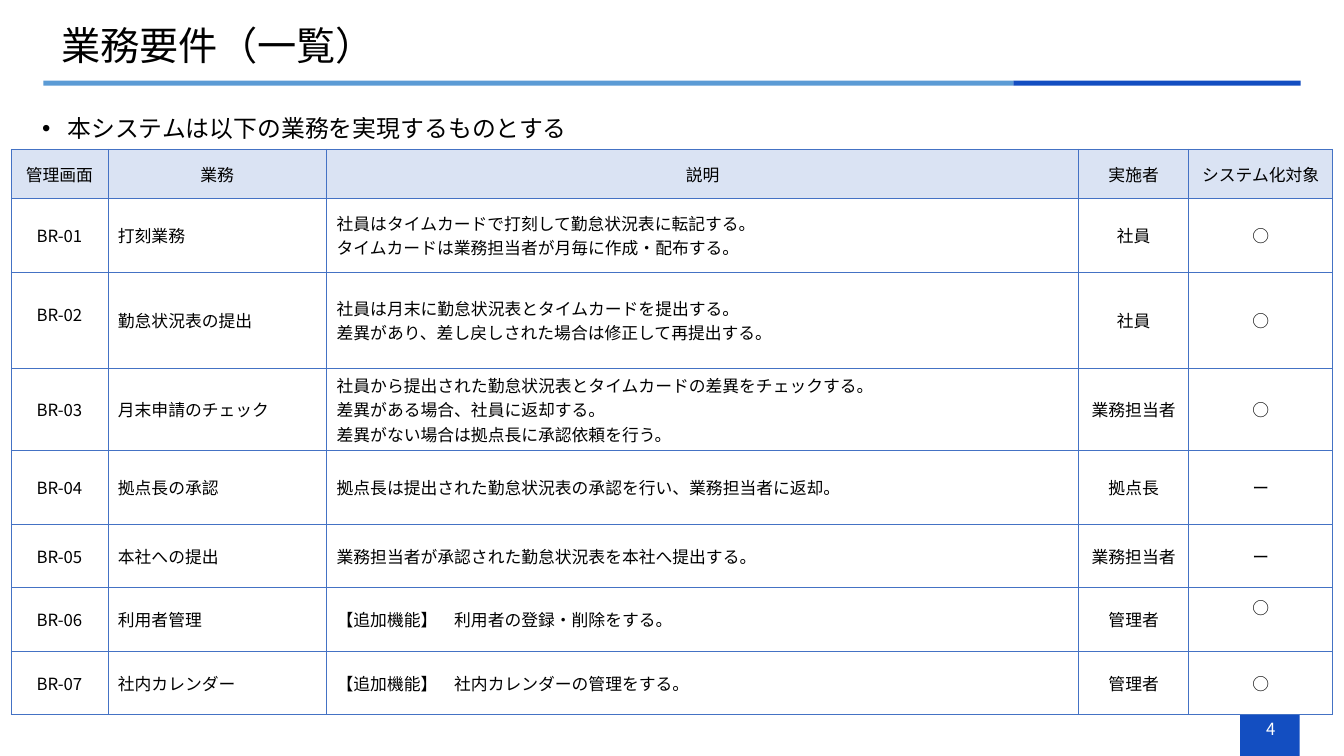
from lxml.etree import SubElement
from pptx import Presentation
from pptx.dml.color import RGBColor
from pptx.enum.shapes import MSO_SHAPE as Shape
from pptx.enum.text import MSO_ANCHOR as Anchor, MSO_AUTO_SIZE as Fit, PP_ALIGN as Align
from pptx.oxml.ns import qn
from pptx.util import Pt

PX = 9144
BLUE, SKY, EDGE, HEAD = "134EC1", "5B9BD5", "4472C4", "DAE3F3"
BLACK, WHITE = "000000", "FFFFFF"

COLS = [96, 217, 746, 109, 143]
TALL = [49, 73, 95, 82, 73, 63, 63, 63]
ROWS = [
    ("管理画面", "業務", "説明", "実施者", "システム化対象"),
    ("BR-01", "打刻業務",
     "社員はタイムカードで打刻して勤怠状況表に転記する。\n"
     "タイムカードは業務担当者が月毎に作成・配布する。", "社員", "○"),
    ("BR-02", "勤怠状況表の提出",
     "社員は月末に勤怠状況表とタイムカードを提出する。\n"
     "差異があり、差し戻しされた場合は修正して再提出する。", "社員", "○"),
    ("BR-03", "月末申請のチェック",
     "社員から提出された勤怠状況表とタイムカードの差異をチェックする。\n"
     "差異がある場合、社員に返却する。\n"
     "差異がない場合は拠点長に承認依頼を行う。", "業務担当者", "○"),
    ("BR-04", "拠点長の承認",
     "拠点長は提出された勤怠状況表の承認を行い、業務担当者に返却。", "拠点長", "ー"),
    ("BR-05", "本社への提出",
     "業務担当者が承認された勤怠状況表を本社へ提出する。", "業務担当者", "ー"),
    ("BR-06", "利用者管理", "【追加機能】　利用者の登録・削除をする。", "管理者", "○"),
    ("BR-07", "社内カレンダー", "【追加機能】　社内カレンダーの管理をする。", "管理者", "○"),
]
LIFT = {(2, 0): 17, (6, 4): 29}


def color(code):
    """Turn a hex string into a colour."""
    return RGBColor.from_string(code)


class Deck:
    """Holds the style and the current slide."""

    def __init__(self, font, wide, high):
        """Start a deck with one title-only slide."""
        self.font = font
        self.show = Presentation()
        self.show.slide_width, self.show.slide_height = wide * PX, high * PX
        self.slide = self.show.slides.add_slide(self.show.slide_layouts[5])

    def words(self, frame, text, size, ink=BLACK, align=Align.LEFT, space=1.0):
        """Fill a text frame and format its runs."""
        frame.text = text
        frame.word_wrap = True
        for para in frame.paragraphs:
            para.alignment = align
            para.line_spacing = space
            for run in para.runs:
                run.font.size = Pt(size)
                run.font.name = self.font
                run.font.color.rgb = color(ink)
                SubElement(run._r.get_or_add_rPr(), qn("a:ea"), typeface=self.font)

    def title(self, text, x, y, w, h):
        """Place the slide title."""
        box = self.slide.shapes.title
        box.left, box.top, box.width, box.height = [n * PX for n in (x, y, w, h)]
        self.words(box.text_frame, text, 28, space=0.9)
        box.text_frame.auto_size = Fit.NONE
        box.text_frame.vertical_anchor = Anchor.MIDDLE

    def bar(self, x, y, w, h, fill):
        """Draw a plain filled rectangle."""
        box = self.slide.shapes.add_shape(Shape.RECTANGLE, x * PX, y * PX, w * PX, h * PX)
        box.shadow.inherit = False
        box.fill.solid()
        box.fill.fore_color.rgb = color(fill)
        box.line.fill.background()

    def label(self, text, x, y, w, h, size, **style):
        """Add a text box and return its frame."""
        frame = self.slide.shapes.add_textbox(x * PX, y * PX, w * PX, h * PX).text_frame
        self.words(frame, text, size, **style)
        return frame

    def bullet(self, text, x, y, w, h, size):
        """Add a text box with one bulleted line."""
        frame = self.label(text, x, y, w, h, size)
        props = frame.paragraphs[0]._p.get_or_add_pPr()
        props.set("marL", str(25 * PX))
        props.set("indent", str(-25 * PX))
        SubElement(props, qn("a:buFont"), typeface="Arial")
        SubElement(props, qn("a:buChar"), char="•")

    def border(self, cell):
        """Outline a table cell on all sides."""
        props = cell._tc.get_or_add_tcPr()
        for side in ("lnL", "lnR", "lnT", "lnB"):
            line = SubElement(props, qn("a:" + side), w=str(Pt(0.5)))
            SubElement(SubElement(line, qn("a:solidFill")), qn("a:srgbClr"), val=EDGE)

    def table(self, rows, x, y, cols, tall, lift):
        """Add the table of business requirements."""
        grid = self.slide.shapes.add_table(
            len(rows), len(cols), x * PX, y * PX, sum(cols) * PX, sum(tall) * PX).table
        grid.first_row = grid.horz_banding = False
        for col, wide in zip(grid.columns, cols):
            col.width = wide * PX
        for r, (row, high) in enumerate(zip(rows, tall)):
            grid.rows[r].height = high * PX
            for c, text in enumerate(row):
                cell = grid.cell(r, c)
                left = r > 0 and c in (1, 2)
                self.words(cell.text_frame, text, 12,
                           align=Align.LEFT if left else Align.CENTER)
                cell.vertical_anchor = Anchor.MIDDLE
                cell.margin_bottom = lift.get((r, c), 5) * PX
                self.border(cell)
                cell.fill.solid()
                cell.fill.fore_color.rgb = color(WHITE if r else HEAD)


def main():
    """Build the slide and save it."""
    deck = Deck("Noto Sans CJK JP", 1333, 750)
    deck.bar(1230, 693, 59, 57, BLUE)
    deck.bar(43, 80, 962, 5, SKY)
    deck.bar(1005, 80, 285, 5, BLUE)
    deck.title("業務要件（一覧）", 51, 16, 1246, 62)
    deck.bullet("本システムは以下の業務を実現するものとする", 32, 108, 1240, 41, 17)
    page = deck.label("4", 1221, 708, 79, 30, 12, ink=WHITE, align=Align.CENTER)
    page.vertical_anchor = Anchor.MIDDLE
    deck.table(ROWS, 11, 148, COLS, TALL, LIFT)
    deck.show.save("out.pptx")


if __name__ == "__main__":
    main()
